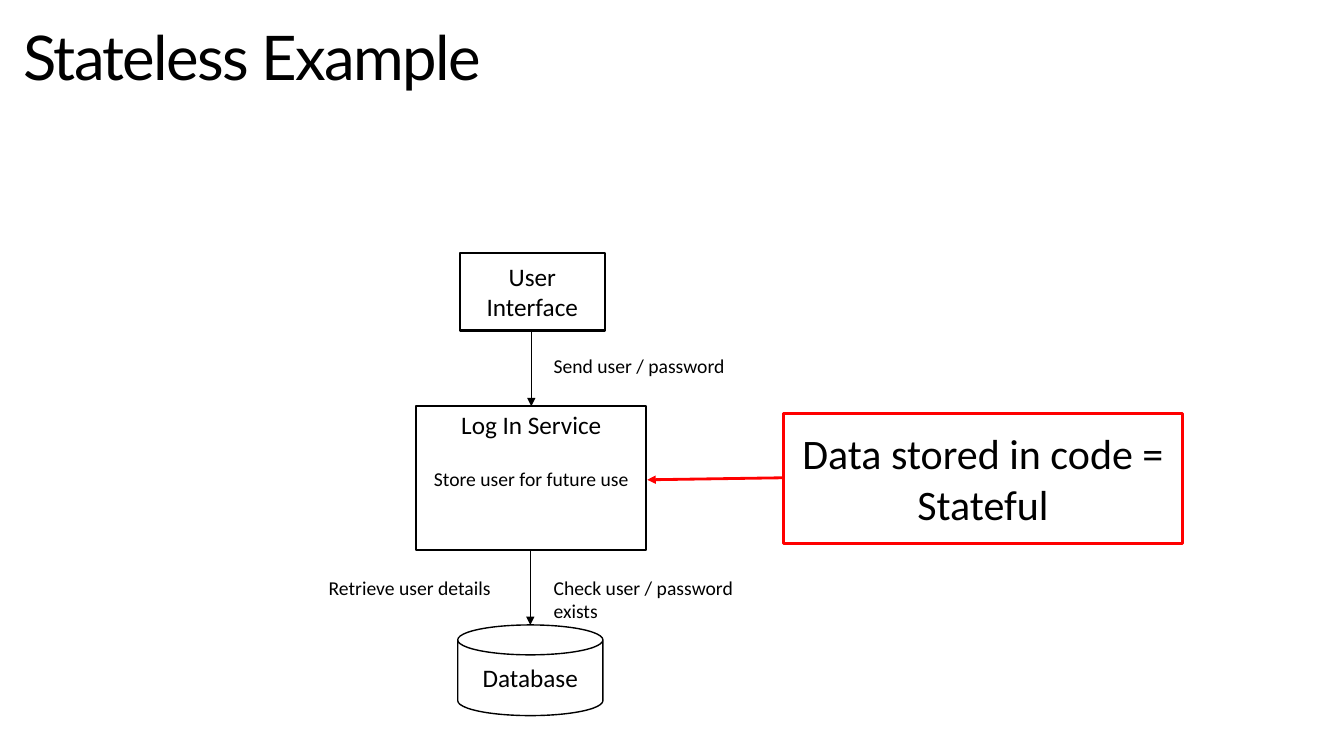
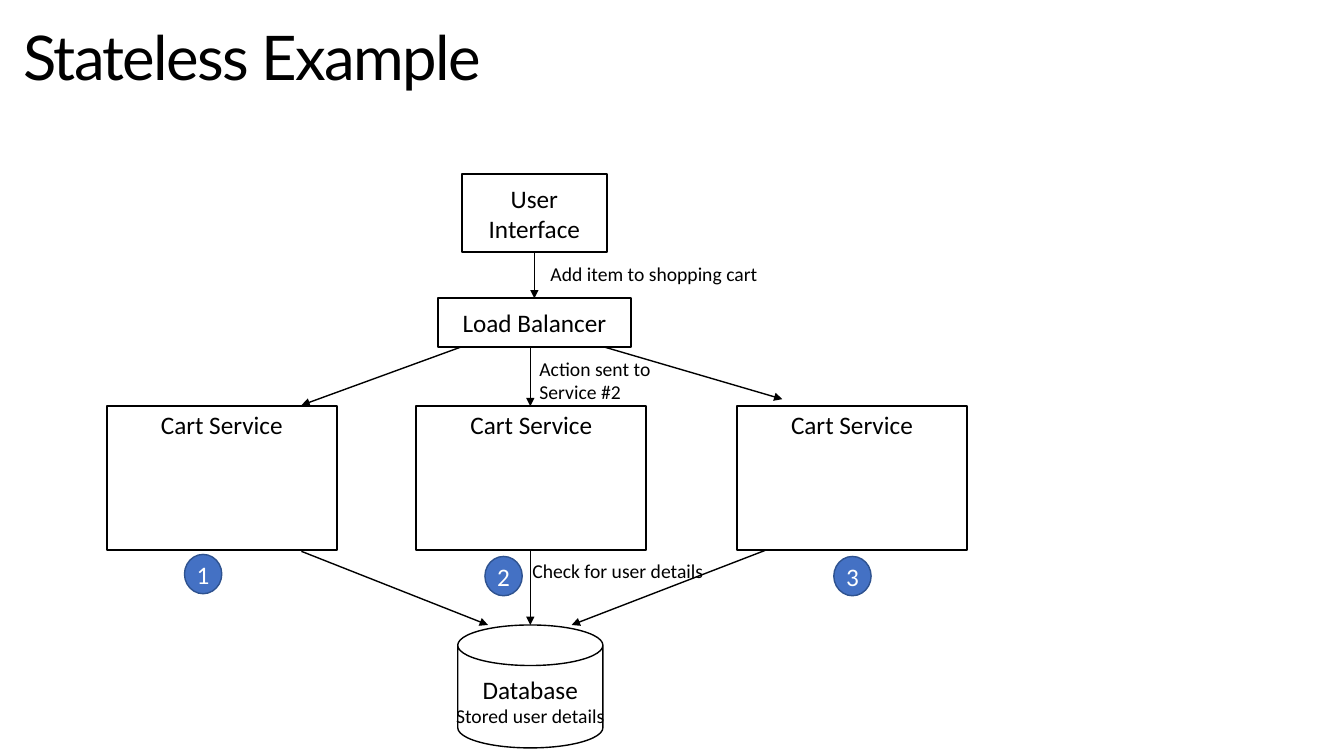
from lxml import etree
from pptx import Presentation
from pptx.dml.color import RGBColor
from pptx.enum.shapes import MSO_CONNECTOR, MSO_SHAPE
from pptx.enum.text import MSO_ANCHOR, PP_ALIGN
from pptx.oxml.ns import qn
from pptx.util import Inches, Pt

BLACK = RGBColor(0x00, 0x00, 0x00)
WHITE = RGBColor(0xFF, 0xFF, 0xFF)
RED = RGBColor(0xFF, 0x00, 0x00)
BLUE = RGBColor(0x44, 0x71, 0xC4)
NAVY = RGBColor(0x2E, 0x52, 0x8F)

RECT, CAN, OVAL = MSO_SHAPE.RECTANGLE, MSO_SHAPE.CAN, MSO_SHAPE.OVAL
STRAIGHT = MSO_CONNECTOR.STRAIGHT
LEFT, CENTER = PP_ALIGN.LEFT, PP_ALIGN.CENTER
TOP, MIDDLE, BOTTOM = MSO_ANCHOR.TOP, MSO_ANCHOR.MIDDLE, MSO_ANCHOR.BOTTOM

TITLE = "Stateless Example"
TITLE_BOX = (0.23, 0.12, 5.82, 0.86)
TITLE_ONLY = 5
LABEL_SIZE, NODE_SIZE, CALLOUT_SIZE = 14, 18, 30
LABEL_LINE = 0.25

USER_SIZE = (1.44, 0.77)
SERVICE_SIZE = (2.28, 1.43)
BADGE_SIZE = (0.37, 0.39)
SERVICE_TOP = 4.03
CART_LEFTS = (1.06, 4.13, 7.31)
BADGES = [("1", 1.83, 5.5), ("2", 4.81, 5.52), ("3", 8.27, 5.52)]

# Labels: left, top, width, lines.  Arrows: start x, start y, end x, end y.
LOGIN = {
    "user": (4.56, 2.51),
    "labels": [
        (5.49, 3.5, 1.8, ["Send user / password"]),
        (5.49, 5.7, 1.81, ["Check user / password exists"]),
        (3.26, 5.7, 1.7, ["Retrieve user details"]),
    ],
    "arrows": [(5.27, 3.29, 5.27, 4.03), (5.26, 5.46, 5.26, 6.2)],
}
CART = {
    "user": (4.58, 1.73),
    "labels": [
        (5.46, 2.59, 2.15, ["Add item to shopping cart"]),
        (5.35, 3.53, 1.2, ["Action sent to", "Service #2"]),
        (5.28, 5.53, 1.8, ["Check for user details"]),
    ],
    "arrows": [
        (5.3, 2.5, 5.3, 2.96),
        (4.58, 3.44, 2.99, 4.02),
        (5.26, 3.42, 5.26, 4.03),
        (5.95, 3.43, 7.76, 3.96),
        (2.99, 5.47, 4.84, 6.2),
        (5.26, 5.46, 5.26, 6.2),
        (7.59, 5.46, 5.67, 6.2),
    ],
}


def inches(values):
    return [Inches(v) for v in values]


def write(sp, lines, size=NODE_SIZE, color=BLACK, font="Calibri", align=CENTER,
          anchor=MIDDLE, top=0, side=0, wrap=True, spacing=0):
    """Fill a shape with lines; a line is text or (text, size, points before)."""
    tf = sp.text_frame
    tf.word_wrap = wrap
    tf.vertical_anchor = anchor
    tf.margin_left = tf.margin_right = Inches(side)
    tf.margin_top, tf.margin_bottom = Inches(top), 0
    for i, line in enumerate(lines):
        text, points, before = (line, size, 0) if isinstance(line, str) else line
        p = tf.paragraphs[0] if i == 0 else tf.add_paragraph()
        p.alignment = align
        p.space_before = Pt(before)
        r = p.add_run()
        r.text = text
        r.font.name, r.font.size = font, Pt(points)
        r.font.color.rgb = color
        if spacing:
            r._r.get_or_add_rPr().set("spc", str(round(spacing * 100)))


def node(s, kind, box, lines, line=BLACK, weight=1.5, fill=None, **text_format):
    sp = s.shapes.add_shape(kind, *inches(box))
    sp.shadow.inherit = False
    if fill is None:
        sp.fill.background()
    else:
        sp.fill.solid()
        sp.fill.fore_color.rgb = fill
    sp.line.color.rgb, sp.line.width = line, Pt(weight)
    write(sp, lines, **text_format)
    return sp


def service(s, left, lines):
    node(s, RECT, (left, SERVICE_TOP, *SERVICE_SIZE), lines, anchor=TOP, top=0.03)


def database(s, height, lines, **text_format):
    sp = node(s, CAN, (4.54, 6.2, 1.44, height), lines, weight=1,
              wrap=False, **text_format)
    sp.adjustments[0] = 0.33


def arrow(s, ends, color=BLACK, weight=1):
    c = s.shapes.add_connector(STRAIGHT, *inches(ends))
    c.line.color.rgb, c.line.width = color, Pt(weight)
    etree.SubElement(c.line._get_or_add_ln(), qn("a:tailEnd"), type="triangle")
    etree.SubElement(c._element.spPr, qn("a:effectLst"))


def example_slide(prs, content):
    """Add the title, user interface, arrows and labels both slides have."""
    s = prs.slides.add_slide(prs.slide_layouts[TITLE_ONLY])
    write(s.shapes.title, [TITLE], size=44, font="Lato", align=LEFT,
          top=0.01, spacing=-1.2)
    for ends in content["arrows"]:
        arrow(s, ends)
    node(s, RECT, (*content["user"], *USER_SIZE), ["User Interface"], side=0.2)
    for left, top, width, lines in content["labels"]:
        box = (left, top, width, LABEL_LINE * len(lines))
        write(s.shapes.add_textbox(*inches(box)), lines, size=LABEL_SIZE,
              align=LEFT, anchor=TOP, top=0.01)
    return s


def login_slide(prs):
    s = example_slide(prs, LOGIN)
    service(s, 4.13, ["Log In Service",
                      ("Store user for future use", LABEL_SIZE, 19.4)])
    database(s, 0.9, ["Database"])
    node(s, RECT, (7.77, 4.1, 3.96, 1.29), ["Data stored in code = Stateful"],
         line=RED, weight=2, size=CALLOUT_SIZE)
    arrow(s, (7.77, 4.74, 6.42, 4.76), color=RED, weight=2)


def cart_slide(prs):
    s = example_slide(prs, CART)
    node(s, RECT, (4.34, 2.96, 1.92, 0.48), ["Load Balancer"], fill=WHITE)
    for left in CART_LEFTS:
        service(s, left, ["Cart Service"])
    for number, left, top in BADGES:
        node(s, OVAL, (left, top, *BADGE_SIZE), [number], line=NAVY, weight=1,
             fill=BLUE, color=WHITE, wrap=False)
    database(s, 1.22, ["Database", ("Stored user details", LABEL_SIZE, 0)],
             anchor=BOTTOM)


def main():
    prs = Presentation()
    prs.slide_width, prs.slide_height = Inches(13.33), Inches(7.5)
    title = prs.slide_layouts[TITLE_ONLY].placeholders[0]
    title.left, title.top, title.width, title.height = inches(TITLE_BOX)
    login_slide(prs)
    cart_slide(prs)
    prs.save("out.pptx")


if __name__ == "__main__":
    main()
